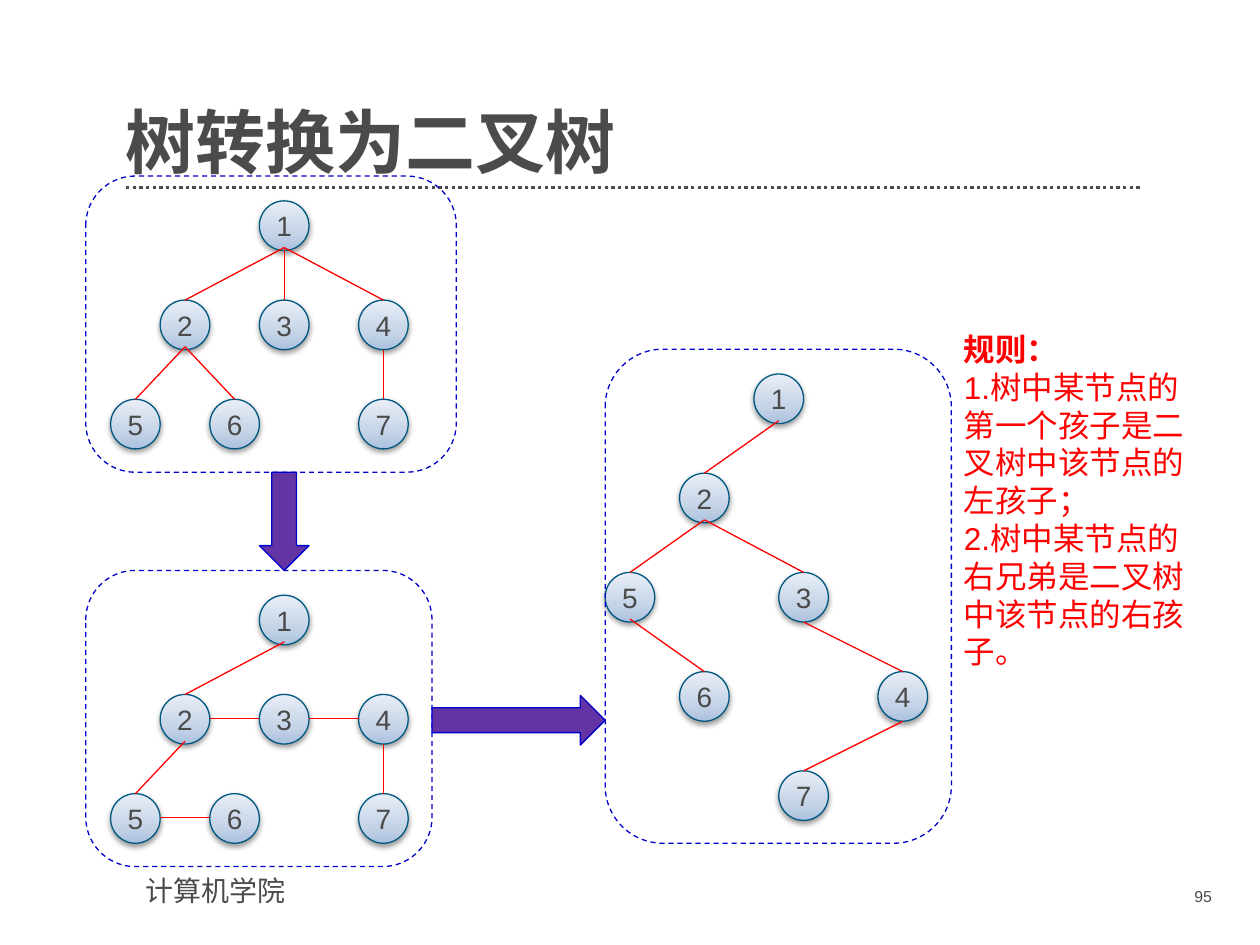
from pptx import Presentation
from pptx import util as u
from pptx.dml.color import RGBColor
from pptx.enum import dml, shapes, text
from pptx.oxml import parse_xml
from pptx.oxml.ns import nsdecls, qn

Cm, Pt = u.Cm, u.Pt
KIND = shapes.MSO_SHAPE
GREY, RED, BLUE, TEAL, PURPLE = "4B4B4B", "FF0000", "0000CC", "005881", "6234A4"
STOPS = [(0, "ACC1DF"), (35, "C5D4E7"), (100, "E9EEF7")]
CJK = "Noto Sans CJK SC"

# Each frame: left, top, width, height; nodes are offsets from its corner, in cm.
SPOTS = {1: (3.5, 0.5), 2: (1.5, 2.5), 3: (3.5, 2.5), 4: (5.5, 2.5),
         5: (0.5, 4.5), 6: (2.5, 4.5), 7: (5.5, 4.5)}
TREES = [
    dict(frame=(1.73, 3.55, 7.47, 5.97), spots=SPOTS, sides=[],
         downs=[(1, 2), (1, 3), (1, 4), (2, 5), (2, 6), (4, 7)]),
    dict(frame=(1.73, 11.5, 6.98, 5.97), spots=SPOTS,
         downs=[(1, 2), (2, 5), (4, 7)], sides=[(2, 3), (3, 4), (5, 6)]),
    dict(frame=(12.2, 7.04, 6.98, 9.96), sides=[],
         spots={1: (3, 0.5), 2: (1.5, 2.5), 5: (0, 4.5), 3: (3.5, 4.5),
                6: (1.5, 6.5), 4: (5.5, 6.5), 7: (3.5, 8.5)},
         downs=[(1, 2), (2, 5), (2, 3), (5, 6), (3, 4), (4, 7)]),
]
RULES = ["规则：", "1.树中某节点的第一个孩子是二叉树中该节点的左孩子；",
         "2.树中某节点的右兄弟是二叉树中该节点的右孩子。"]


def rgb(code):
    return RGBColor.from_string(code)


def style(para, size, color, bold=False, face="Arial"):
    for run in para.runs:
        font = run.font
        font.size, font.bold, font.name = Pt(size), bold, face
        font.color.rgb = rgb(color)
        east = parse_xml(f'<a:ea {nsdecls("a")} typeface="{CJK}"/>')
        font._element.find(qn("a:latin")).addnext(east)


def label(slide, box, lines, size, color, **look):
    """Add a wrapped text box and return its frame."""
    frame = slide.shapes.add_textbox(*map(Cm, box)).text_frame
    frame.word_wrap = True
    frame.text = "\n".join(lines)
    for para in frame.paragraphs:
        style(para, size, color, **look)
    return frame


def shape(slide, kind, box, edge, fill=None):
    item = slide.shapes.add_shape(kind, *map(Cm, box))
    item.shadow.inherit = False
    if fill:
        item.fill.solid()
        item.fill.fore_color.rgb = rgb(fill)
    else:
        item.fill.background()
    item.line.color.rgb = rgb(edge)
    item.line.width = Pt(0.75)
    return item


def line(slide, start, end, color, width=0.75):
    item = slide.shapes.add_connector(
        shapes.MSO_CONNECTOR.STRAIGHT, *map(Cm, (*start, *end)))
    item.line.color.rgb = rgb(color)
    item.line.width = Pt(width)
    item._element.spPr.append(parse_xml(f'<a:effectLst {nsdecls("a")}/>'))
    return item


def node(slide, x, y, num):
    """Add a numbered ball with a gradient and a soft shadow."""
    ball = shape(slide, KIND.OVAL, (x, y, 1, 1), TEAL)
    props = ball._element.spPr
    stops = "".join(f'<a:gs pos="{at * 1000}"><a:srgbClr val="{code}"/></a:gs>'
                    for at, code in STOPS)
    props.replace(props.find(qn("a:noFill")), parse_xml(
        f'<a:gradFill {nsdecls("a")}><a:gsLst>{stops}</a:gsLst>'
        '<a:lin ang="16200000" scaled="0"/></a:gradFill>'))
    props.replace(props.find(qn("a:effectLst")), parse_xml(
        f'<a:effectLst {nsdecls("a")}><a:outerShdw blurRad="{Pt(3.1)}" '
        f'dist="{Pt(1.6)}" dir="5400000" rotWithShape="0">'
        '<a:srgbClr val="000000"><a:alpha val="38000"/></a:srgbClr>'
        '</a:outerShdw></a:effectLst>'))
    frame = ball.text_frame
    frame.margin_left = frame.margin_right = 0
    frame.margin_top = frame.margin_bottom = 0
    frame.word_wrap = False
    frame.vertical_anchor = text.MSO_ANCHOR.MIDDLE
    frame.text = str(num)
    para = frame.paragraphs[0]
    para.alignment = text.PP_ALIGN.CENTER
    style(para, 16, GREY)


def tree(slide, frame, spots, downs, sides):
    left, top = frame[:2]
    place = {num: (left + x, top + y) for num, (x, y) in spots.items()}
    for num, (x, y) in place.items():
        node(slide, x, y, num)
    for up, low in downs:
        (x, y), (kidx, kidy) = place[up], place[low]
        drop = 1 if up in (3, 4) else 0.94
        line(slide, (x + 0.5, y + drop), (kidx + 0.5, kidy), RED)
    for one, two in sides:
        (x, y), (nextx, nexty) = place[one], place[two]
        line(slide, (x + 1, y + 0.48), (nextx, nexty + 0.48), RED)
    box = shape(slide, KIND.ROUNDED_RECTANGLE, frame, BLUE)
    box.line.dash_style = dml.MSO_LINE.DASH


def main():
    deck = Presentation()
    deck.slide_width, deck.slide_height = Cm(25.4), Cm(19.05)
    slide = deck.slides.add_slide(deck.slide_layouts[6])

    rule = line(slide, (2.54, 3.78), (23.01, 3.78), GREY, 1.9)
    rule.line.dash_style = dml.MSO_LINE.ROUND_DOT
    label(slide, (2.69, 17.48, 7.01, 0.94), ["计算机学院"], 16, GREY)
    head = label(slide, (2.54, 1.4, 20.47, 2.31), ["树转换为二叉树"],
                 40, GREY, bold=True, face=CJK)
    head.margin_left = head.margin_right = head.margin_top = head.margin_bottom = 0
    head.vertical_anchor = text.MSO_ANCHOR.BOTTOM
    head.paragraphs[0].line_spacing = 0.9
    page = label(slide, (22.17, 17.75, 2.51, 0.74), ["95"], 9, GREY)
    page.paragraphs[0].alignment = text.PP_ALIGN.RIGHT

    for item in TREES:
        tree(slide, **item)
    shape(slide, KIND.DOWN_ARROW, (5.23, 9.52, 1, 1.98), BLUE, PURPLE)
    shape(slide, KIND.RIGHT_ARROW, (8.71, 14.02, 3.49, 1), BLUE, PURPLE)
    note = label(slide, (19.18, 6.53, 4.98, 7.19), RULES, 18, RED)
    note.paragraphs[0].runs[0].font.bold = True

    deck.save("out.pptx")


if __name__ == "__main__":
    main()
